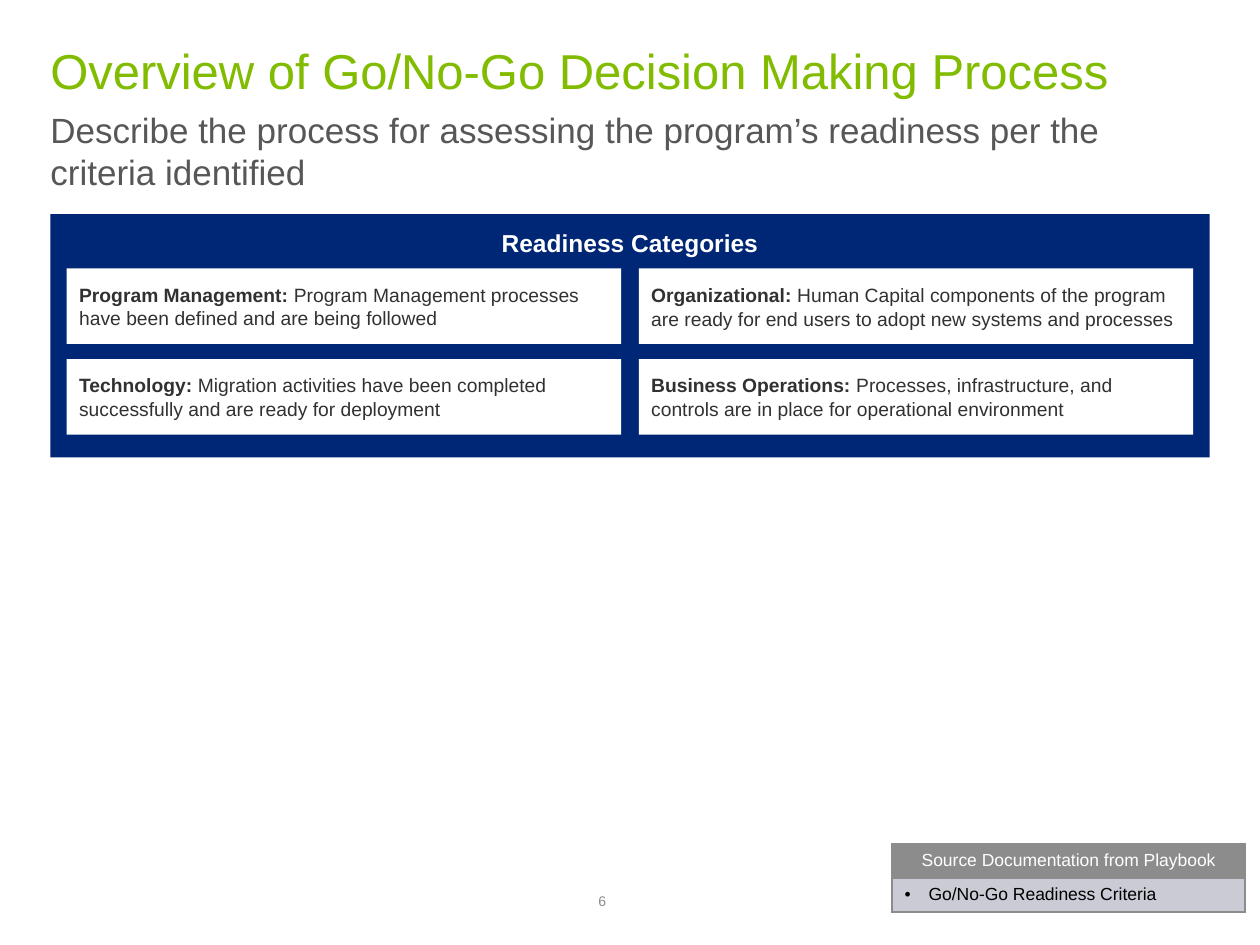
import pptx
import pptx.util
import pptx.dml.color
import pptx.enum.shapes
import pptx.enum.text
import pptx.oxml
import pptx.oxml.ns
import lxml.etree

Inches = pptx.util.Inches
Pt = pptx.util.Pt
ALIGN = pptx.enum.text.PP_ALIGN
ANCHOR = pptx.enum.text.MSO_ANCHOR
RECT = pptx.enum.shapes.MSO_SHAPE.RECTANGLE
qn = pptx.oxml.ns.qn

COLORS = {
    "green": "81BC00",
    "slate": "575757",
    "navy": "002776",
    "ink": "313131",
    "gray": "8C8C8C",
    "pale": "CACBD5",
    "white": "FFFFFF",
    "black": "000000",
}


class Deck:
    font = "Arial"

    def __init__(self, slide):
        self.slide = slide

    def rgb(self, name):
        return pptx.dml.color.RGBColor.from_string(COLORS[name])

    def text(self, frame, runs, size, color, align=ALIGN.LEFT, space=None):
        para = frame.paragraphs[0]
        para.alignment = align
        if space:
            para.line_spacing = space
        for words, bold in runs:
            run = para.add_run()
            run.text = words
            font = run.font
            font.name, font.size, font.bold = self.font, Pt(size), bold
            font.color.rgb = self.rgb(color)
        return para

    def inset(self, frame, gap, anchor):
        frame.word_wrap = True
        frame.vertical_anchor = anchor
        frame.margin_left = frame.margin_right = Inches(gap)
        frame.margin_top = frame.margin_bottom = Inches(gap)

    def label(self, area, words, size, color, anchor=ANCHOR.TOP):
        box = self.slide.shapes.add_textbox(*map(Inches, area))
        self.inset(box.text_frame, 0, anchor)
        self.text(box.text_frame, [(words, False)], size, color)

    def panel(self, area, fill, runs, size, color, anchor, align, space=None):
        box = self.slide.shapes.add_shape(RECT, *map(Inches, area))
        box.shadow.inherit = False
        box.fill.solid()
        box.fill.fore_color.rgb = self.rgb(fill)
        box.line.fill.background()
        self.inset(box.text_frame, 0.1, anchor)
        self.text(box.text_frame, runs, size, color, align, space)

    def border(self, cell, color):
        props = cell._tc.get_or_add_tcPr()
        for spot, side in enumerate(("lnL", "lnR", "lnT", "lnB")):
            line = lxml.etree.Element(qn("a:" + side), w=str(Pt(1)))
            fill = lxml.etree.SubElement(line, qn("a:solidFill"))
            lxml.etree.SubElement(fill, qn("a:srgbClr"), val=COLORS[color])
            props.insert(spot, line)

    def bullet(self, para):
        props = para._p.get_or_add_pPr()
        props.set("marL", str(Inches(0.19)))
        props.set("indent", str(-Inches(0.19)))
        font = lxml.etree.SubElement(props, qn("a:buFont"))
        font.set("typeface", self.font)
        lxml.etree.SubElement(props, qn("a:buChar")).set("char", "•")

    def table(self, area, rows):
        frame = self.slide.shapes.add_table(len(rows), 1, *map(Inches, area))
        grid = frame.table
        for spot, (words, fill, color, align, dot) in enumerate(rows):
            grid.rows[spot].height = Inches(area[3] / len(rows))
            cell = grid.cell(spot, 0)
            cell.margin_left = cell.margin_right = Inches(0.1)
            cell.margin_top = cell.margin_bottom = Inches(0.05)
            cell.fill.solid()
            cell.fill.fore_color.rgb = self.rgb(fill)
            para = self.text(cell.text_frame, [(words, False)], 10, color, align)
            if dot:
                self.bullet(para)
            self.border(cell, "gray")


def main():
    show = pptx.Presentation()
    show.slide_width, show.slide_height = Inches(10), Inches(7.5)
    deck = Deck(show.slides.add_slide(show.slide_layouts[6]))

    deck.label((4.75, 7.09, 0.5, 0.13), "6", 8, "gray", ANCHOR.BOTTOM)
    deck.label(
        (0.4, 0.86, 9.2, 0.83),
        "Describe the process for assessing the program’s readiness per the criteria identified",
        20, "slate",
    )
    deck.label((0.4, 0.32, 9.2, 0.51), "Overview of Go/No-Go Decision Making Process", 28, "green")
    deck.panel(
        (0.4, 1.7, 9.2, 1.93), "navy", [("Readiness Categories", True)],
        14, "white", ANCHOR.TOP, ALIGN.CENTER, 1.06,
    )

    cards = [
        ("Program Management:", "Program Management processes have been defined and are being followed", None),
        ("Organizational:", "Human Capital components of the program are ready for end users to adopt new systems and processes", 1.06),
        ("Technology:", "Migration activities have been completed successfully and are ready for deployment", None),
        ("Business Operations:", "Processes, infrastructure, and controls are in place for operational environment", None),
    ]
    for spot, (head, body, space) in enumerate(cards):
        row, col = divmod(spot, 2)
        area = (0.53 + 4.54 * col, 2.13 + 0.72 * row, 4.4, 0.6)
        deck.panel(
            area, "white", [(head, True), (" " + body, False)],
            11, "ink", ANCHOR.MIDDLE, ALIGN.LEFT, space,
        )

    deck.table((7.08, 6.7, 2.8, 0.54), [
        ("Source Documentation from Playbook", "gray", "white", ALIGN.CENTER, False),
        ("Go/No-Go Readiness Criteria", "pale", "black", ALIGN.LEFT, True),
    ])
    show.save("out.pptx")


if __name__ == "__main__":
    main()
